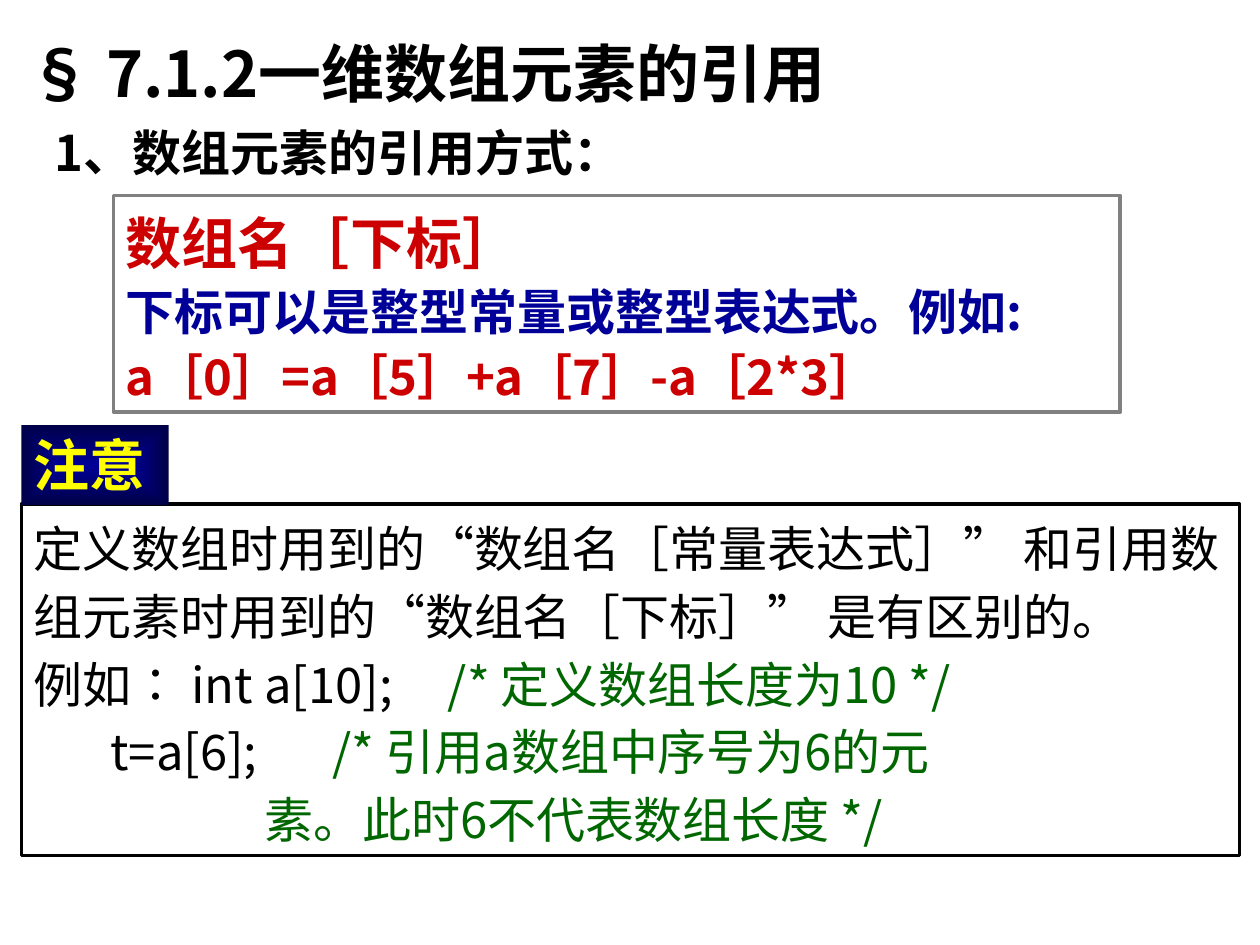
from lxml.etree import SubElement
from pptx import Presentation
from pptx.dml.color import RGBColor
from pptx.enum.lang import MSO_LANGUAGE_ID
from pptx.enum.shapes import MSO_SHAPE
from pptx.enum.text import MSO_ANCHOR, MSO_AUTO_SIZE, PP_ALIGN
from pptx.oxml.ns import qn
from pptx.util import Cm, Pt

COLORS = {
    "black": "000000", "white": "FFFFFF", "gray": "808080", "red": "CC0000",
    "blue": "000099", "navy": "000046", "green": "006600", "yellow": "FFFF00",
}
FONT = "Noto Sans CJK SC"


def rgb(name):
    return RGBColor.from_string(COLORS[name])


def write(box, paragraphs, bold=True, spacing=1.0, align=PP_ALIGN.LEFT, wrap=True, latin=FONT):
    """Fill a box; each paragraph is (tab stops in cm, [(text, size, color), ...])."""
    frame = box.text_frame
    frame.word_wrap = wrap
    frame.auto_size = MSO_AUTO_SIZE.SHAPE_TO_FIT_TEXT
    frame.vertical_anchor = MSO_ANCHOR.TOP
    for index, (stops, spans) in enumerate(paragraphs):
        para = frame.add_paragraph() if index else frame.paragraphs[0]
        para.alignment = align
        para.line_spacing = spacing
        if stops:
            tabs = SubElement(para._p.get_or_add_pPr(), qn("a:tabLst"))
            for stop in stops:
                SubElement(tabs, qn("a:tab"), pos=str(Cm(stop)), algn="l")
        for text, size, color in spans:
            span = para.add_run()
            span.text = text
            span.font.size = Pt(size)
            span.font.bold = bold
            span.font.color.rgb = rgb(color)
            span.font.name = latin
            span.font.language_id = MSO_LANGUAGE_ID.SIMPLIFIED_CHINESE
            SubElement(span._r.get_or_add_rPr(), qn("a:ea"), typeface=FONT)


deck = Presentation()
deck.slide_width, deck.slide_height = Cm(25.4), Cm(19.05)
page = deck.slides.add_slide(deck.slide_layouts[6])

# Headings
title = page.shapes.add_textbox(Cm(0.33), Cm(0.86), Cm(16.87), Cm(1.47))
write(title, [([], [("§ 7.1.2一维数组元素的引用", 36, "black")])], spacing=0.8, wrap=False)
subtitle = page.shapes.add_textbox(Cm(0.74), Cm(2.34), Cm(12.17), Cm(1.45))
write(subtitle, [([], [("1、数组元素的引用方式：", 28, "black")])],
      align=PP_ALIGN.CENTER, wrap=False)

# Boxes: syntax, notice, notice label
boxes = []
for left, top, width, height in (
    (2.29, 3.94, 20.29, 4.37),
    (0.43, 10.16, 24.56, 7.09),
    (0.43, 8.56, 2.97, 1.63),
):
    box = page.shapes.add_shape(MSO_SHAPE.RECTANGLE, Cm(left), Cm(top), Cm(width), Cm(height))
    box.shadow.inherit = False
    boxes.append(box)
syntax, notice, label = boxes

syntax.fill.background()
notice.fill.solid()
notice.fill.fore_color.rgb = rgb("white")
for box, color in ((syntax, "gray"), (notice, "black")):
    box.line.color.rgb = rgb(color)
    box.line.width = Pt(2)

label.line.fill.background()
label.fill.gradient()
for stop, color, position in zip(label.fill.gradient_stops, ("blue", "navy"), (0, 1)):
    stop.color.rgb = rgb(color)
    stop.position = position
gradient = label._element.spPr.find(qn("a:gradFill"))
gradient.remove(gradient.find(qn("a:lin")))
shade = SubElement(gradient, qn("a:path"), path="rect")
SubElement(shade, qn("a:fillToRect"), l="50000", t="50000", r="50000", b="50000")

write(syntax, [
    ([], [("数组名［下标］", 32, "red")]),
    ([], [("下标可以是整型常量或整型表达式。例如:", 28, "blue")]),
    ([], [("a［0］=a［5］+a［7］-a［2*3］", 28, "red")]),
], spacing=1.1)
write(notice, [
    ([], [("定义数组时用到的“数组名［常量表达式］” 和引用数组元素时用到的“数组名［下标］” 是有区别的。",
           28, "black")]),
    ([8.35], [("例如∶ int a[10];\t", 28, "black"), ("/* 定义数组长度为10 */", 28, "green")]),
    ([1.55, 6.03], [("\tt=a[6];\t", 28, "black"), ("/* 引用a数组中序号为6的元", 28, "green")]),
    ([4.65], [("\t素。此时6不代表数组长度 */", 28, "green")]),
], bold=False, spacing=1.15)
write(label, [([], [("注意", 32, "yellow")])], latin="Times New Roman")

deck.save("out.pptx")
